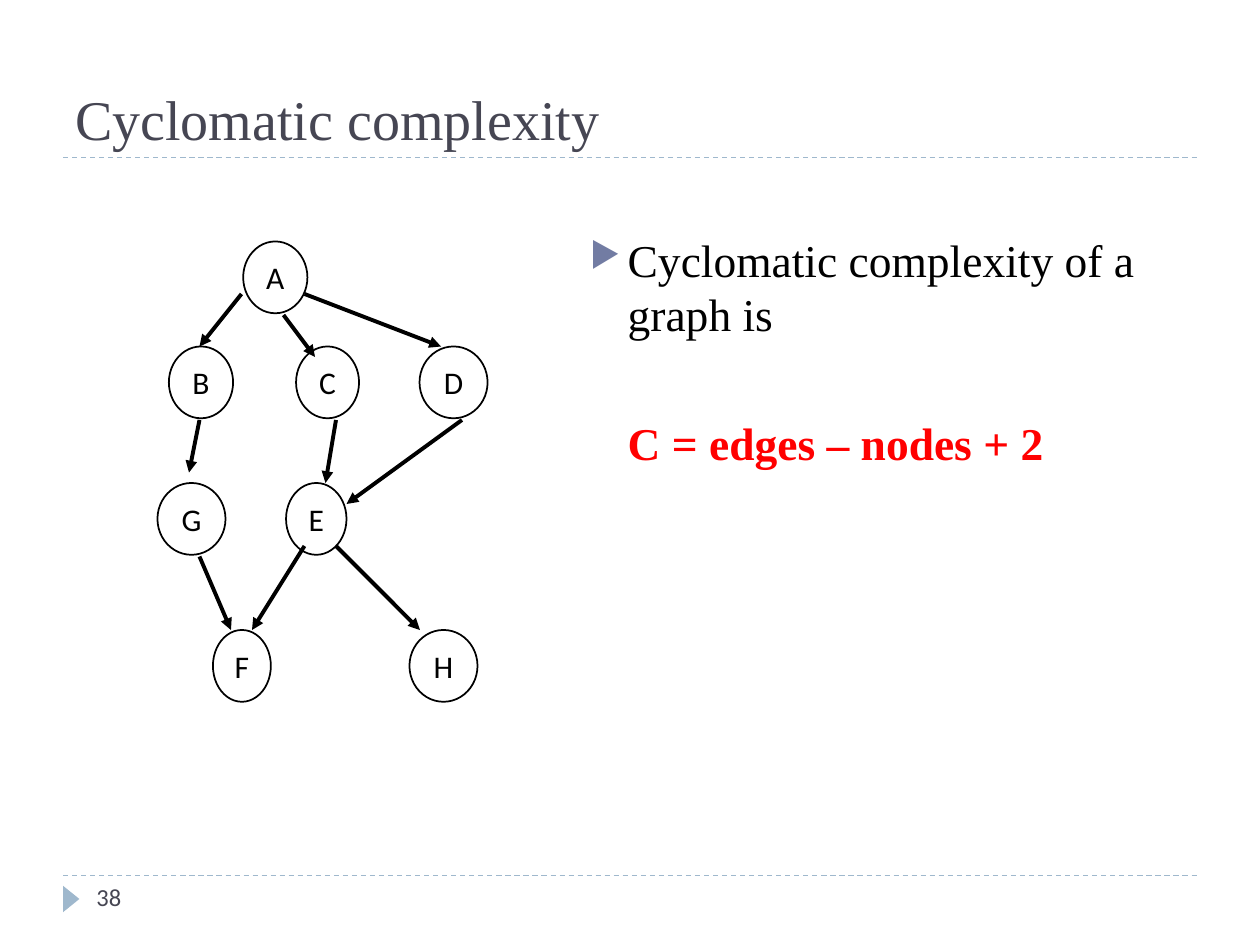
from lxml import etree
from pptx import Presentation
from pptx.dml.color import RGBColor
from pptx.enum.dml import MSO_LINE
from pptx.enum.shapes import MSO_CONNECTOR, MSO_SHAPE
from pptx.enum.text import MSO_ANCHOR, PP_ALIGN
from pptx.oxml.ns import qn
from pptx.util import Inches, Pt

STRAIGHT = MSO_CONNECTOR.STRAIGHT
DASH = MSO_LINE.DASH
OVAL = MSO_SHAPE.OVAL
TRIANGLE = MSO_SHAPE.ISOSCELES_TRIANGLE
TOP, MIDDLE, BOTTOM = MSO_ANCHOR.TOP, MSO_ANCHOR.MIDDLE, MSO_ANCHOR.BOTTOM
LEFT, CENTER = PP_ALIGN.LEFT, PP_ALIGN.CENTER

THEME = {
    "serif": "Times New Roman", "sans": "Calibri",
    "ink": RGBColor.from_string("000000"),
    "paper": RGBColor.from_string("FFFFFF"),
    "heading": RGBColor.from_string("464653"),
    "accent": RGBColor.from_string("9FB8CD"),
    "formula": RGBColor.from_string("FF0000"),
    "bullet": "727CA3",
    "title_size": Pt(32), "body_size": Pt(26),
    "node_size": Pt(18), "number_size": Pt(14),
    "rule": Pt(0.75), "outline": Pt(1), "edge": Pt(2.25),
}

deck = Presentation()
deck.slide_width, deck.slide_height = Inches(10), Inches(7.5)
CELL = deck.slide_width / 120
page = deck.slides.add_slide(deck.slide_layouts[6])


def add_line(start, end, color, width):
    ends = [round(CELL * value) for value in (*start, *end)]
    line = page.shapes.add_connector(STRAIGHT, *ends)
    line.line.color.rgb = color
    line.line.width = width
    etree.SubElement(line._element.spPr, qn("a:effectLst"))
    return line


def add_span(para, text, font, size, color, bold=False):
    span = para.add_run()
    span.text = text
    span.font.name, span.font.size, span.font.bold = THEME[font], THEME[size], bold
    span.font.color.rgb = THEME[color]


for row in (83.4, 15):
    rule = add_line((6, row), (114, row), THEME["accent"], THEME["rule"])
    rule.line.dash_style = DASH

marker_box = [round(CELL * value) for value in (5.52, 84.84, 2.52, 1.56)]
marker = page.shapes.add_shape(TRIANGLE, *marker_box)
marker.rotation = 90
marker.shadow.inherit = False
marker.fill.solid()
marker.fill.fore_color.rgb = THEME["accent"]
marker.line.fill.background()

frames = {}
for name, area, anchor in [
    ("title", (6, 2, 108, 13), BOTTOM),
    ("body", (55, 21.5, 59, 59), TOP),
    ("number", (8, 83.4, 26, 4.8), TOP),
]:
    box = page.shapes.add_textbox(*[round(CELL * value) for value in area])
    frames[name] = box.text_frame
    frames[name].word_wrap = True
    frames[name].vertical_anchor = anchor

add_span(frames["title"].paragraphs[0], "Cyclomatic complexity", "serif", "title_size", "heading")
add_span(frames["number"].paragraphs[0], "38", "sans", "number_size", "heading")

statement = frames["body"].paragraphs[0]
formula = frames["body"].add_paragraph()
formula.space_before = Pt(42)
for para, hanging in ((statement, -Inches(0.3)), (formula, 0)):
    para.alignment = LEFT
    properties = para._p.get_or_add_pPr()
    properties.set("marL", str(Inches(0.3)))
    properties.set("indent", str(hanging))
properties = statement._p.get_or_add_pPr()
bullet_color = etree.SubElement(properties, qn("a:buClr"))
etree.SubElement(bullet_color, qn("a:srgbClr"), val=THEME["bullet"])
etree.SubElement(properties, qn("a:buSzPct"), val="76000")
etree.SubElement(properties, qn("a:buChar"), char="▶")
add_span(statement, "Cyclomatic complexity of a graph is", "serif", "body_size", "ink")
add_span(formula, "C = edges – nodes + 2", "serif", "body_size", "formula", True)

NODES = [
    ("A", 23.16, 23, 6.12),
    ("B", 16.08, 33, 6.12), ("C", 28.2, 33, 6), ("D", 39.96, 33, 6.48),
    ("G", 15, 46, 6.48), ("E", 27.24, 46, 5.76),
    ("F", 20.28, 60, 5.52), ("H", 39, 60, 6.48),
]
for label, column, row, width in NODES:
    area = [round(CELL * value) for value in (column, row, width, 6.84)]
    node = page.shapes.add_shape(OVAL, *area)
    node.shadow.inherit = False
    node.fill.solid()
    node.fill.fore_color.rgb = THEME["paper"]
    node.line.color.rgb = THEME["ink"]
    node.line.width = THEME["outline"]
    node.text_frame.word_wrap = False
    node.text_frame.vertical_anchor = MIDDLE
    para = node.text_frame.paragraphs[0]
    para.alignment = CENTER
    add_span(para, label, "sans", "node_size", "ink")

EDGES = [
    ((23, 28), (19, 33)), ((27, 30), (30, 34)), ((29, 28), (42, 33)),
    ((19, 40), (18, 45)), ((32, 40), (31, 46)), ((44, 40), (33, 48)),
    ((19, 53), (22, 60)), ((29, 52), (24, 60)), ((32, 52), (40, 60)),
]
for start, end in EDGES:
    edge = add_line(start, end, THEME["ink"], THEME["edge"])
    etree.SubElement(edge.line._get_or_add_ln(), qn("a:tailEnd"), type="triangle")

deck.save("out.pptx")
